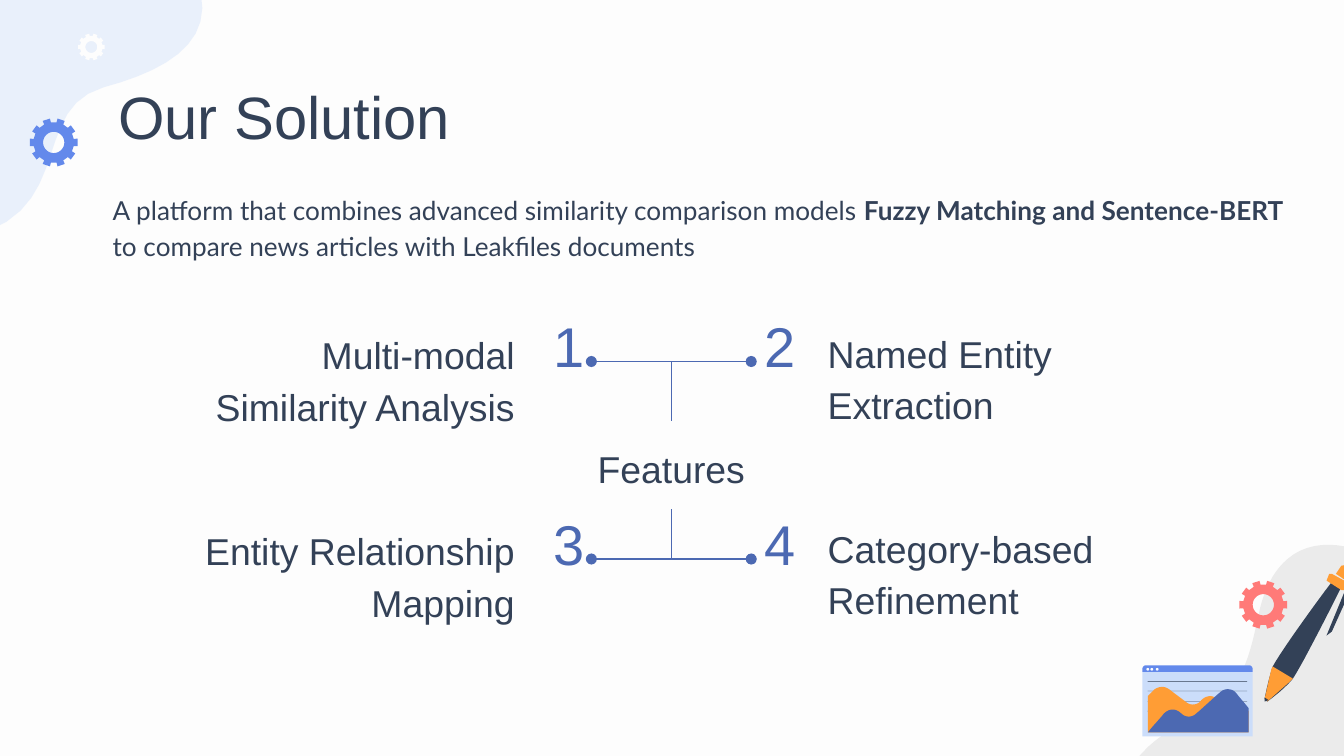
from math import cos, sin, pi
from lxml import etree
from pptx import Presentation
from pptx import util as u
from pptx.dml.color import RGBColor
from pptx.enum import shapes, text
from pptx.oxml.ns import qn

NAVY = RGBColor(0x33, 0x41, 0x57)
BLUE = RGBColor(0x4C, 0x69, 0xB2)
SKY = RGBColor(0x63, 0x89, 0xEB)
PALE = RGBColor(0xCB, 0xDD, 0xFA)
GREY = RGBColor(0xEB, 0xEB, 0xEB)
WHITE = RGBColor(0xFD, 0xFD, 0xFD)
GOLD = RGBColor(0xFF, 0x9D, 0x35)
CORAL = RGBColor(0xFF, 0x7A, 0x78)

deck = Presentation()
deck.slide_width = u.Inches(10)
deck.slide_height = u.Inches(10 * 9 / 16)
slide = deck.slides.add_slide(deck.slide_layouts[5])
slide.background.fill.solid()
slide.background.fill.fore_color.rgb = WHITE
items = slide.shapes


def curve(pts, steps=12):
    """Sample a chain of cubic Beziers: a start, then three points per piece."""
    out = [pts[0]]
    for i in range(0, len(pts) - 1, 3):
        a, b, c, d = pts[i:i + 4]
        for n in range(1, steps + 1):
            t = n / steps
            s = 1 - t
            out.append(tuple(s**3 * a[k] + 3 * s * s * t * b[k]
                             + 3 * s * t * t * c[k] + t**3 * d[k] for k in (0, 1)))
    return out


def draw(color, *rings):
    """Fill one outline; any further rings are holes."""
    pen = None
    for ring in rings:
        first, *rest = [(u.Inches(x), u.Inches(y)) for x, y in ring]
        if pen is None:
            pen = items.build_freeform(*first, scale=1.0)
        else:
            pen.move_to(*first)
        pen.add_line_segments(rest, close=True)
    shape = pen.convert_to_shape()
    shape.shadow.inherit = False
    shape.fill.solid()
    shape.fill.fore_color.rgb = color
    shape.line.fill.background()
    return shape


# Corner blobs
blob = draw(PALE, curve([
    (-0.09, 1.72), (-0.11, 1.73), (-0.14, 1.74), (-0.18, 1.75),
    (-0.75, 1.86), (-1.11, 0.83), (-1.41, 0.23),
    (-1.59, -0.12), (-1.59, -0.07), (-1.94, -0.63),
    (-2.21, -1.07), (-2.09, -1.34), (-1.89, -1.43),
    (-1.82, -1.45), (-1.76, -1.46), (-1.71, -1.45),
    (-1.43, -1.43), (-1.32, -1.38), (-0.67, -1.89),
    (-0.02, -2.39), (0.18, -1.94), (0.27, -1.39),
    (0.36, -0.85), (1.06, -0.87), (1.39, -0.31),
    (1.72, 0.26), (1.29, 0.51), (0.77, 0.65),
    (0.25, 0.8), (0.53, 1.48), (-0.09, 1.72)]))
tint = blob.fill._xPr.find(".//" + qn("a:srgbClr"))
etree.SubElement(tint, qn("a:alpha"), val="39000")
draw(GREY, curve([
    (10.44, 7.04), (10.08, 7.27), (9.62, 7.33), (9.21, 7.21),
    (8.86, 7.12), (8.54, 6.89), (8.38, 6.56),
    (8.23, 6.24), (8.27, 5.81), (8.54, 5.56),
    (8.74, 5.37), (9.03, 5.3), (9.19, 5.08),
    (9.29, 4.94), (9.32, 4.77), (9.36, 4.6),
    (9.39, 4.44), (9.45, 4.27), (9.58, 4.16),
    (9.75, 4.01), (10.02, 4.03), (10.22, 4.15),
    (10.41, 4.27), (10.54, 4.47), (10.65, 4.67),
    (10.94, 5.23), (11.22, 6.01), (10.87, 6.6),
    (10.76, 6.78), (10.61, 6.93), (10.44, 7.04)]))

# Pen
draw(NAVY, curve([
    (9.62, 5.05), (9.58, 5.1), (9.5, 5.17), (9.43, 5.22),
    (9.42, 5.21), (9.42, 5.21), (9.41, 5.2),
    (9.42, 5.15), (9.44, 5.05), (9.47, 4.96),
    (9.54, 4.83), (9.84, 4.42), (9.91, 4.33),
    (9.93, 4.34), (9.96, 4.36), (9.98, 4.37),
    (9.95, 4.43), (9.7, 4.93), (9.62, 5.05)]))
draw(GOLD, [(9.62, 5.05), (9.6, 5.07), (9.43, 5.22), (9.41, 5.2), (9.46, 4.98), (9.47, 4.96)])
draw(NAVY, [(9.41, 5.19), (9.41, 5.22), (9.44, 5.21)])
draw(GOLD, [(10.03, 4.2), (9.98, 4.21), (9.94, 4.27), (10, 4.31), (10.04, 4.25)])
draw(NAVY, [(9.87, 4.73), (10.01, 4.39), (9.96, 4.35), (9.97, 4.33),
            (10.02, 4.36), (10.04, 4.41), (9.91, 4.7)])
draw(GOLD, [(10.02, 4.33), (9.91, 4.27), (9.89, 4.27), (9.87, 4.32),
            (9.98, 4.39), (10, 4.39), (10.02, 4.35)])

# Gears with ten teeth
for x, y, size, color in ((9.4, 4.5, 0.18, CORAL), (0.4, 1.06, 0.18, SKY),
                          (0.68, 0.35, 0.1, WHITE)):
    rim = []
    for tooth in range(10):
        for turn, part in ((-10, 0.84), (-9, 1), (9, 1), (10, 0.84)):
            angle = (tooth * 36 + turn) * pi / 180
            rim.append((x + size * part * cos(angle), y + size * part * sin(angle)))
    hole = [(x + size * 0.44 * cos(n * pi / 16), y + size * 0.44 * sin(n * pi / 16))
            for n in range(32)]
    draw(color, rim, hole)

# Browser window with a wave chart
for kind, x, y, w, h, color in (
        (shapes.MSO_SHAPE.RECTANGLE, 8.5, 5, 0.82, 0.48, PALE),
        (shapes.MSO_SHAPE.ROUND_2_SAME_RECTANGLE, 8.5, 4.95, 0.82, 0.05, SKY),
        *((shapes.MSO_SHAPE.OVAL, x, 4.97, 0.02, 0.02, WHITE) for x in (8.53, 8.56, 8.6)),
        *((shapes.MSO_SHAPE.RECTANGLE, 8.54, y, 0.74, 0, NAVY)
          for y in (5.07, 5.14, 5.22, 5.29))):
    part = items.add_shape(kind, u.Inches(x), u.Inches(y), u.Inches(w), u.Inches(h) or u.Pt(0.25))
    part.shadow.inherit = False
    part.fill.solid()
    part.fill.fore_color.rgb = color
    part.line.fill.background()
    if kind == shapes.MSO_SHAPE.ROUND_2_SAME_RECTANGLE:
        part.adjustments[0] = 0.5
draw(GOLD, curve([
    (8.54, 5.18), (8.56, 5.16), (8.57, 5.15), (8.59, 5.13),
    (8.62, 5.11), (8.66, 5.1), (8.7, 5.13),
    (8.74, 5.16), (8.78, 5.19), (8.82, 5.22),
    (8.85, 5.25), (8.9, 5.25), (8.93, 5.22),
    (8.96, 5.18), (9.01, 5.17), (9.04, 5.19),
    (9.12, 5.22), (9.2, 5.26), (9.29, 5.29)]) + [(9.29, 5.45), (8.54, 5.45)])
draw(BLUE, curve([
    (8.54, 5.45), (8.58, 5.4), (8.62, 5.36), (8.66, 5.31),
    (8.7, 5.27), (8.75, 5.27), (8.79, 5.31),
    (8.82, 5.34), (8.87, 5.34), (8.9, 5.31),
    (8.96, 5.26), (9.02, 5.2), (9.08, 5.15),
    (9.11, 5.12), (9.17, 5.12), (9.2, 5.16),
    (9.23, 5.2), (9.26, 5.23), (9.29, 5.27)]) + [(9.29, 5.45)])

# Words
LEFT, MID, RIGHT = text.PP_ALIGN.LEFT, text.PP_ALIGN.CENTER, text.PP_ALIGN.RIGHT
TOP, CORE, BASE = text.MSO_ANCHOR.TOP, text.MSO_ANCHOR.MIDDLE, text.MSO_ANCHOR.BOTTOM
title = items.title
items._spTree.append(title._element)
boxes = {}
for words, x, y, w, h, align, anchor, size, color, space in (
        ("Our Solution", 0.78, 0.49, 8.44, 0.63, LEFT, TOP, 32, NAVY, 1),
        ("Multi-modal Similarity Analysis", 1.18, 2.52, 2.75, 0.77, RIGHT, BASE, 20, NAVY, 1.15),
        ("Named Entity Extraction", 6.06, 2.69, 2.97, 0.59, LEFT, BASE, 20, NAVY, 1.15),
        ("Entity Relationship Mapping", 1.22, 4.4, 2.71, 0.35, RIGHT, BASE, 20, NAVY, 1.15),
        ("Category-based Refinement", 6.06, 4.38, 3.05, 0.35, LEFT, BASE, 20, NAVY, 1.15),
        ("Features", 4.27, 3.13, 1.45, 0.66, MID, CORE, 20, NAVY, 1.15),
        ("1", 4.02, 2.46, 0.38, 0.46, MID, BASE, 30, BLUE, 1),
        ("2", 5.59, 2.46, 0.38, 0.46, MID, BASE, 30, BLUE, 1),
        ("3", 4.02, 3.93, 0.38, 0.46, MID, BASE, 30, BLUE, 1),
        ("4", 5.59, 3.93, 0.38, 0.46, MID, BASE, 30, BLUE, 1),
        ("", 0.74, 1.31, 8.97, 0.71, LEFT, TOP, 14, NAVY, 1.15)):
    place = [u.Inches(v) for v in (x, y, w, h)]
    if words == "Our Solution":
        box = title
        box.left, box.top, box.width, box.height = place
    else:
        box = items.add_textbox(*place)
    boxes[words] = box
    frame = box.text_frame
    frame.word_wrap = True
    frame.auto_size = text.MSO_AUTO_SIZE.NONE
    frame.vertical_anchor = anchor
    frame.margin_left = frame.margin_right = u.Inches(0.1)
    frame.margin_top = frame.margin_bottom = u.Inches(0.1)
    para = frame.paragraphs[0]
    para.alignment, para.line_spacing = align, space
    if words:
        para.text = words
    else:
        for piece, bold in (
                ("A platform that combines advanced similarity comparison models ", False),
                ("Fuzzy Matching and Sentence-BERT", True),
                (" to compare news articles with Leakfiles documents", False)):
            run = para.add_run()
            run.text, run.font.bold = piece, bold
    for run in para.runs:
        run.font.name = "Arial" if words else "Lato"
        run.font.size = u.Pt(size)
        run.font.color.rgb = color

# Branches from each number to the hub
for digit, side, end in (("1", 3, 0), ("2", 1, 0), ("3", 3, 2), ("4", 1, 2)):
    link = items.add_connector(shapes.MSO_CONNECTOR.ELBOW, 0, 0, 0, 0)
    link.begin_connect(boxes[digit], side)
    link.end_connect(boxes["Features"], end)
    link._element.spPr.find(qn("a:prstGeom")).set("prst", "bentConnector2")
    link.line.color.rgb = BLUE
    link.line.width = u.Pt(0.75)
    etree.SubElement(link.line._get_or_add_ln(), qn("a:headEnd"), type="oval")
    etree.SubElement(link._element.spPr, qn("a:effectLst"))

deck.save("out.pptx")
